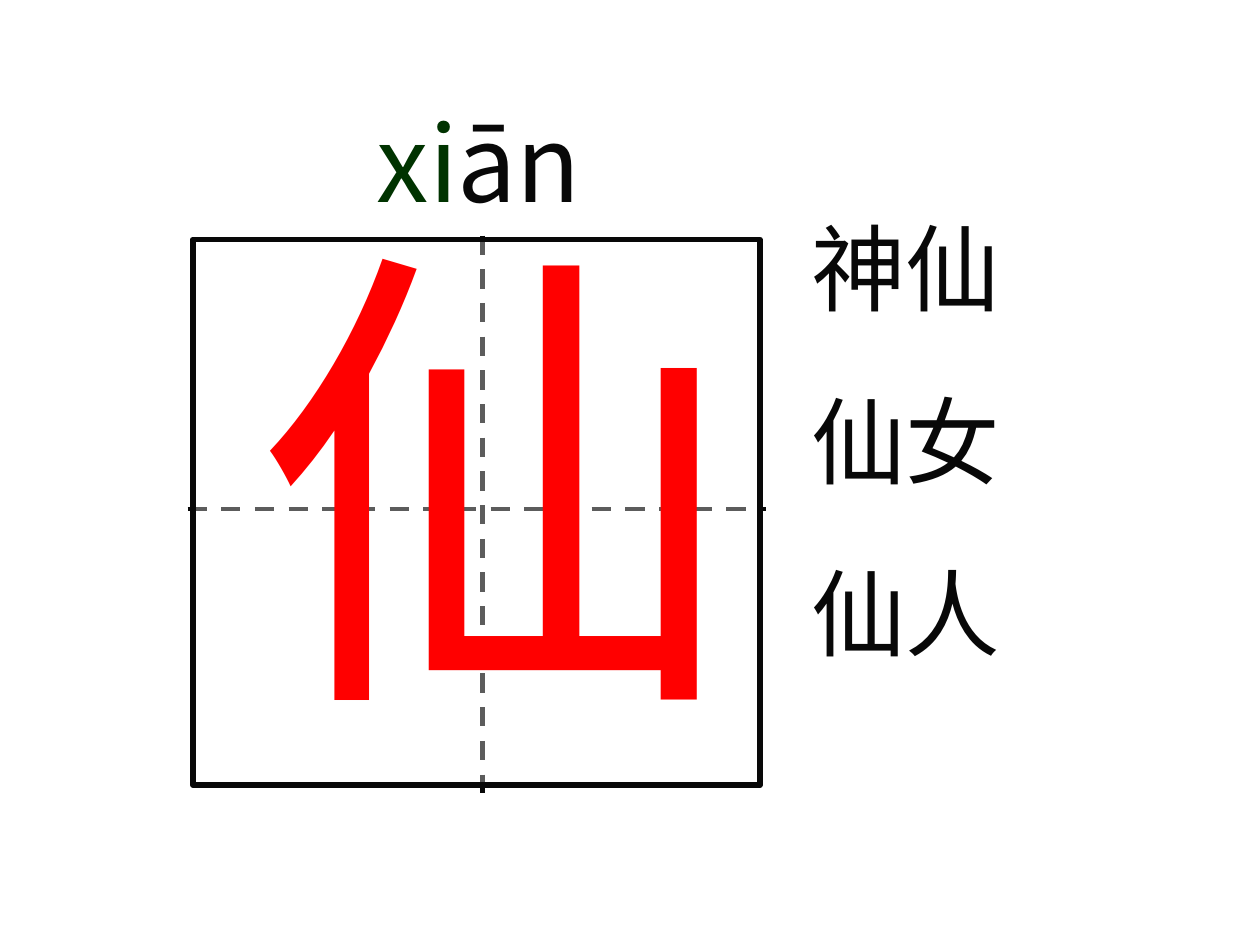
from dataclasses import dataclass

from lxml import etree
from pptx import Presentation
from pptx.dml.color import RGBColor
from pptx.enum.dml import MSO_LINE
from pptx.enum.shapes import MSO_CONNECTOR, MSO_SHAPE
from pptx.enum.text import MSO_ANCHOR, MSO_AUTO_SIZE, PP_ALIGN
from pptx.oxml.ns import qn
from pptx.util import Cm, Pt

RECT = MSO_SHAPE.RECTANGLE
STRAIGHT = MSO_CONNECTOR.STRAIGHT
DASH = MSO_LINE.DASH
TOP = MSO_ANCHOR.TOP
LEFT = PP_ALIGN.LEFT
GROW = MSO_AUTO_SIZE.SHAPE_TO_FIT_TEXT


@dataclass(frozen=True)
class Theme:
    ink: str = "080808"
    green: str = "003300"
    red: str = "FF0000"
    white: str = "FFFFFF"
    hans: str = "Noto Sans CJK SC"
    serif: str = "Times New Roman"
    glyph: int = 275
    sound: int = 60
    word: int = 54
    gap: float = 33.8


THEME = Theme()


def apply(item, values):
    for name, value in values.items():
        setattr(item, name, value)


def place(shape, left, top, width, height):
    apply(shape, {"left": Cm(left), "top": Cm(top),
                  "width": Cm(width), "height": Cm(height)})


def frame(shape, wrap=True):
    text = shape.text_frame
    apply(text, {"word_wrap": wrap, "auto_size": GROW, "vertical_anchor": TOP})
    return text


def write(para, text, size, color, font):
    run = para.add_run()
    run.text = text
    apply(run.font, {"size": Pt(size), "name": font})
    run.font.color.rgb = RGBColor.from_string(color)
    # Chinese glyphs need their own font entry
    east = etree.Element(qn("a:ea"), typeface=THEME.hans)
    run.font._element.find(qn("a:latin")).addnext(east)


def tint(shape, share):
    """Fill with white at the given opacity in percent."""
    shape.fill.solid()
    shape.fill.fore_color.rgb = RGBColor.from_string(THEME.white)
    color = shape._element.spPr.find(qn("a:solidFill"))[0]
    etree.SubElement(color, qn("a:alpha"), val=str(share * 1000))


def stroke(shape, width):
    shape.line.width = Pt(width)
    shape.line.color.rgb = RGBColor.from_string(THEME.ink)


def guide(group, *ends):
    line = group.shapes.add_connector(STRAIGHT, *map(Cm, ends))
    stroke(line, 2.75)
    line.line.dash_style = DASH
    etree.SubElement(line._element.spPr, qn("a:effectLst"))


def grid(slide):
    group = slide.shapes.add_group_shape()
    guide(group, 3.78, 10.26, 15.44, 10.26)
    guide(group, 9.73, 4.75, 9.73, 15.98)
    box = group.shapes.add_shape(RECT, Cm(3.89), Cm(4.83), Cm(11.43), Cm(11))
    box.shadow.inherit = False
    tint(box, 34)
    stroke(box, 3.25)


def glyph(slide, text):
    box = slide.shapes.add_textbox(Cm(4.9), Cm(3.53), Cm(10.21), Cm(11.91))
    para = frame(box, wrap=False).paragraphs[0]
    write(para, text, THEME.glyph, THEME.red, THEME.hans)


def sound(title, parts):
    place(title, 7.34, 1.83, 6.4, 2.79)
    para = frame(title).paragraphs[0]
    para.alignment = LEFT
    for text, color in parts:
        write(para, text, THEME.sound, color, THEME.hans)


def words(body, items):
    place(body, 16.1, 4.11, 8.79, 9.5)
    tint(body, 56)
    text = frame(body)
    for index, item in enumerate(items):
        para = text.add_paragraph() if index else text.paragraphs[0]
        props = para._p.get_or_add_pPr()
        apply_xml = {"marL": "0", "indent": "0"}
        props.attrib.update(apply_xml)
        etree.SubElement(props, qn("a:buNone"))
        apply(para, {"alignment": LEFT,
                     "space_before": Pt(THEME.gap if index else 0)})
        write(para, item, THEME.word, THEME.ink, THEME.serif)


def main():
    deck = Presentation()
    apply(deck, {"slide_width": Cm(25.4), "slide_height": Cm(19.05)})
    slide = deck.slides.add_slide(deck.slide_layouts[1])
    title, body = slide.placeholders

    # Pinyin and sample words
    sound(title, [("xi", THEME.green), ("ān", THEME.ink)])
    words(body, ["神仙", "仙女", "仙人"])

    # Writing grid with the character
    grid(slide)
    glyph(slide, "仙")
    deck.save("out.pptx")


if __name__ == "__main__":
    main()
